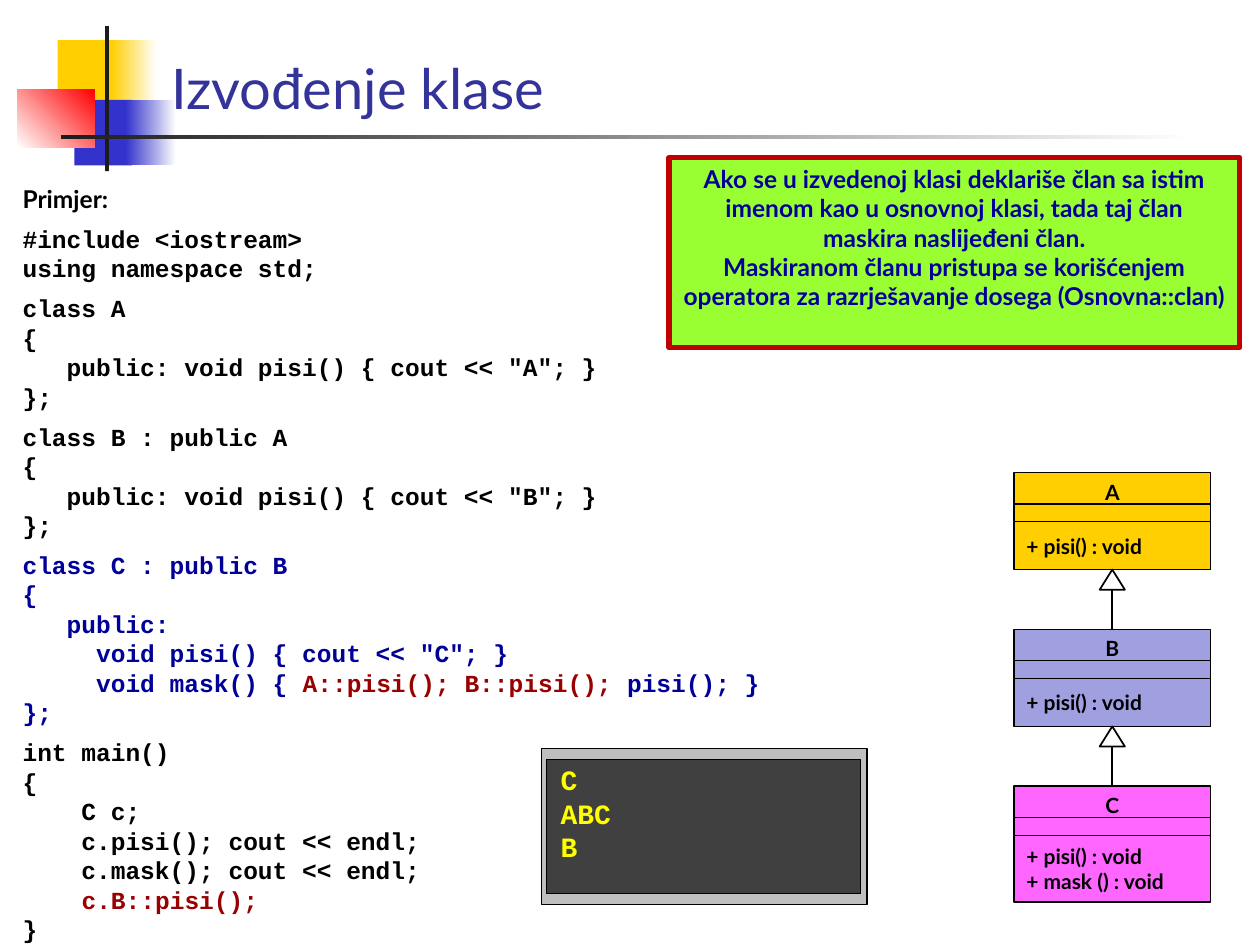
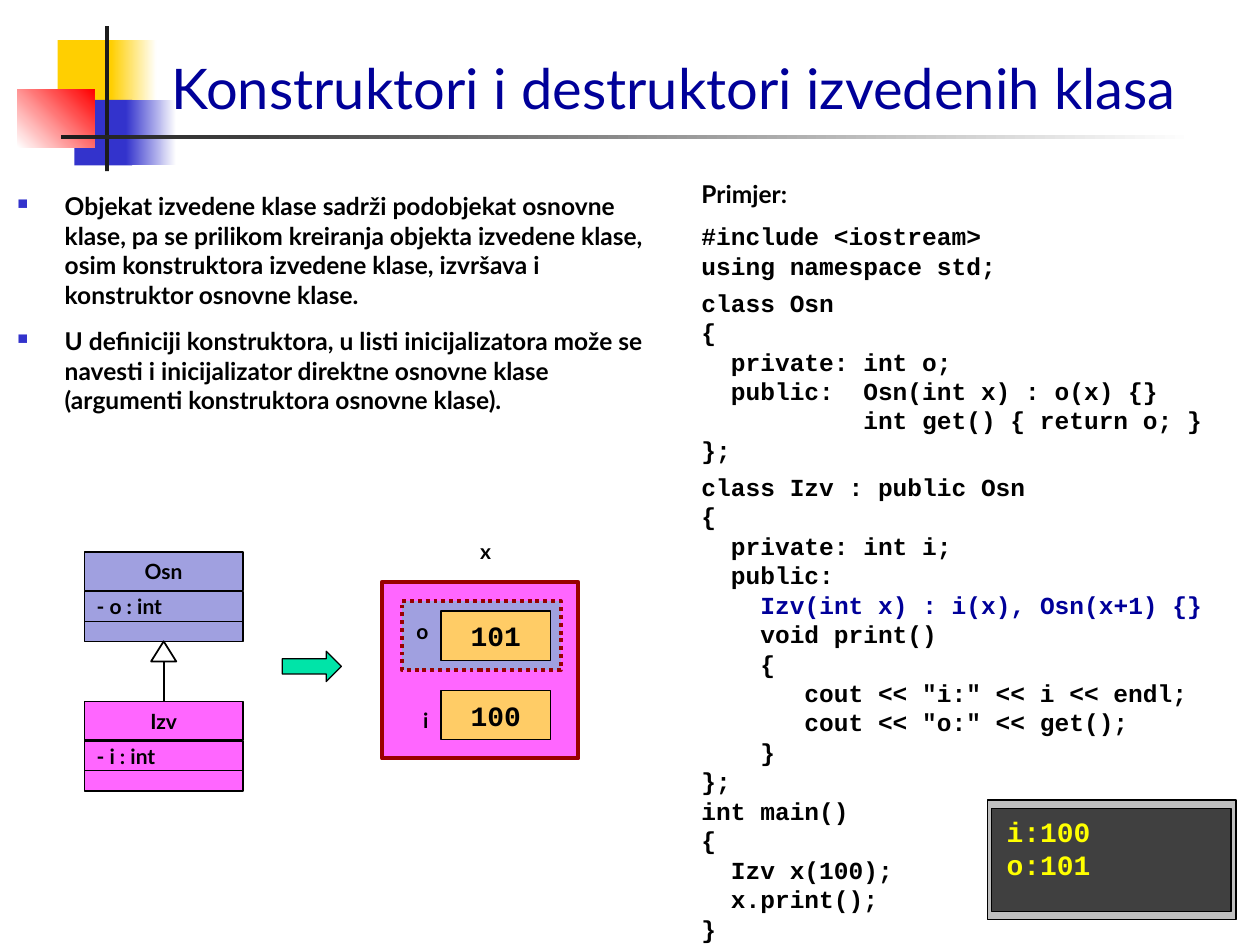
"""Build two lecture slides on class inheritance in C++."""
from dataclasses import dataclass
from typing import NamedTuple, Optional

from lxml.etree import SubElement
from pptx import Presentation
from pptx.dml.color import RGBColor
from pptx.enum.dml import MSO_LINE as Dash
from pptx.enum.shapes import MSO_CONNECTOR as Connector, MSO_SHAPE as Preset
from pptx.enum.text import MSO_ANCHOR as Anchor, PP_ALIGN as Align
from pptx.oxml.ns import qn
from pptx.shapes.autoshape import Shape
from pptx.slide import Slide
from pptx.text.text import TextFrame
from pptx.util import Pt

BODY, MONO = "Lato", "Courier New"
BLACK, WHITE, INK = "000000", "FFFFFF", "1C1C1C"
NAVY, INDIGO, BLUE = "000099", "333399", "3333CC"
GOLD, RED, MAROON, CRIMSON = "FFCF01", "FF0000", "990000", "C00000"
LILAC, PINK, PEACH, LIME = "A0A0E0", "FF66FF", "FFCC66", "99FF33"
MINT, YELLOW, SILVER, CHARCOAL = "00E4A8", "FFFF00", "BFBFBF", "404040"


class Area(NamedTuple):
    """A rectangle in points."""
    left: float
    top: float
    width: float
    height: float


class Style(NamedTuple):
    """The look of a paragraph."""
    size: float = 14
    font: str = BODY
    color: str = BLACK
    bold: bool = True
    align: Align = Align.LEFT
    pitch: Optional[float] = None


class Band(NamedTuple):
    """One piece of the ornament behind the title."""
    area: Area
    color: str
    fade_to: Optional[str] = None
    angle: float = 0


@dataclass
class Block:
    """A run of code lines with space before it and one accented phrase."""
    code: str
    before: float = 0
    color: str = BLACK
    accent: str = ""
    accent_color: str = MAROON
    font: str = MONO


@dataclass
class UmlClass:
    """A class diagram box: a name over compartments of (height, text)."""
    name: str
    fill: str
    left: float
    top: float
    width: float
    name_step: float
    compartments: tuple[tuple[float, str], ...]


ORNAMENT = (
    Band(Area(33, 23, 34.5, 37.5), GOLD),
    Band(Area(63.5, 23, 26, 37.5), GOLD, WHITE),
    Band(Area(42.5, 57, 33, 37.5), BLUE),
    Band(Area(72, 57, 28.8, 37.5), BLUE, WHITE),
    Band(Area(10, 51, 44, 33.2), WHITE, RED, 45),
    Band(Area(60, 15, 2.3, 82.8), INK),
    Band(Area(34.6, 77, 648, 2.3), INK, WHITE),
)
CODE = Style(font=MONO, pitch=16.85)
SCREEN = Style(16, MONO, YELLOW, pitch=19.3)
MEMBER = Style(12)
NAME = MEMBER._replace(align=Align.CENTER)
LABEL = MEMBER._replace(align=Align.RIGHT)
VALUE = Style(16, MONO, align=Align.CENTER)
NAME_HEIGHT, TIP_WIDTH, TIP_HEIGHT = 22, 14.4, 11.5

INCLUDES = "#include <iostream>\nusing namespace std;"
MASKING_CODE = (
    Block("Primjer:", font=BODY),
    Block(INCLUDES, 6),
    Block("""class A
{
   public: void pisi() { cout << "A"; }
};""", 6),
    Block("""class B : public A
{
   public: void pisi() { cout << "B"; }
};""", 6),
    Block("""class C : public B
{
   public:
     void pisi() { cout << "C"; }
     void mask() { A::pisi(); B::pisi(); pisi(); }
};""", 6, NAVY, "A::pisi(); B::pisi(); "),
    Block("""int main()
{
    C c;
    c.pisi(); cout << endl;
    c.mask(); cout << endl;
    c.B::pisi();
}""", 6, accent="c.B::pisi();"),
)
CONSTRUCTOR_CODE = (
    Block("Primjer:", font=BODY),
    Block(INCLUDES, 7.5),
    Block("""class Osn
{
  private: int o;
  public:  Osn(int x) : o(x) {}
           int get() { return o; }
};""", 4.2),
    Block("""class Izv : public Osn
{
  private: int i;
  public:
    Izv(int x) : i(x), Osn(x+1) {}
    void print()
    {
       cout << "i:" << i << endl;
       cout << "o:" << get();
    }
};
int main()
{
  Izv x(100);
  x.print();
}""", 4.2, accent="Izv(int x) : i(x), Osn(x+1) {}", accent_color=NAVY),
)
MASKING_RULE = (
    "Ako se u izvedenoj klasi deklariše član sa istim imenom kao u osnovnoj klasi, "
    "tada taj član maskira naslijeđeni član.\n"
    "Maskiranom članu pristupa se korišćenjem operatora za razrješavanje dosega (Osnovna::clan)"
)
CONSTRUCTOR_RULES = (
    "Objekat izvedene klase sadrži podobjekat osnovne klase, pa se prilikom kreiranja objekta "
    "izvedene klase, osim konstruktora izvedene klase, izvršava i konstruktor osnovne klase.",
    "U definiciji konstruktora, u listi inicijalizatora može se navesti i inicijalizator "
    "direktne osnovne klase (argumenti konstruktora osnovne klase).",
)


def rgb(color: str) -> RGBColor:
    """Turn a hex string into a colour."""
    return RGBColor.from_string(color)


def emu(area: Area) -> list[Pt]:
    """Convert an area to slide lengths."""
    return [Pt(length) for length in area]


def add_line(frame: TextFrame, pieces: list[tuple[str, str]], style: Style,
             before: float = 0, bullet: str = "") -> None:
    """Append one paragraph made of (text, colour) pieces."""
    line = frame.paragraphs[0]
    if line.runs:
        line = frame.add_paragraph()
        line.space_before = Pt(before)
    line.alignment = style.align
    if style.pitch:
        line.line_spacing = Pt(style.pitch)
    if bullet:
        props = line._p.get_or_add_pPr()
        props.set("marL", str(Pt(27)))
        props.set("indent", str(Pt(-27)))
        SubElement(SubElement(props, qn("a:buClr")), qn("a:srgbClr"), val=BLUE)
        SubElement(props, qn("a:buSzPct"), val="60000")
        SubElement(props, qn("a:buChar"), char=bullet)
    line.font.size, line.font.name, line.font.bold = Pt(style.size), style.font, style.bold
    if len(pieces) == 1:
        line.font.color.rgb = rgb(pieces[0][1])
    for text, color in pieces:
        run = line.add_run()
        run.text = text
        if len(pieces) > 1:
            run.font.color.rgb = rgb(color)


def write(frame: TextFrame, text: str, style: Style, anchor: Anchor = Anchor.TOP) -> None:
    """Fill a frame with equally styled lines."""
    frame.word_wrap = True
    frame.vertical_anchor = anchor
    for line in text.split("\n"):
        add_line(frame, [(line, style.color)], style)


def add_text(slide: Slide, area: Area, text: str, style: Style,
             anchor: Anchor = Anchor.TOP) -> TextFrame:
    """Place free text."""
    frame = slide.shapes.add_textbox(*emu(area)).text_frame
    write(frame, text, style, anchor)
    return frame


def add_box(slide: Slide, area: Area, fill: Optional[str], line: Optional[str] = BLACK,
            weight: float = 0.75, preset: Preset = Preset.RECTANGLE) -> Shape:
    """Place a flat outlined shape."""
    box = slide.shapes.add_shape(preset, *emu(area))
    box.shadow.inherit = False
    if fill:
        box.fill.solid()
        box.fill.fore_color.rgb = rgb(fill)
    else:
        box.fill.background()
    if line:
        box.line.color.rgb = rgb(line)
        box.line.width = Pt(weight)
    else:
        box.line.fill.background()
    return box


def add_frame(slide: Slide, title: str, color: str) -> None:
    """Draw the shared ornament and the title."""
    for band in ORNAMENT:
        box = add_box(slide, band.area, band.color, None)
        if band.fade_to:
            box.fill.gradient()
            box.fill.gradient_angle = band.angle
            for stop, shade in zip(box.fill.gradient_stops, (band.color, band.fade_to)):
                stop.color.rgb = rgb(shade)
    add_text(slide, Area(90.7, 9.4, 629.3, 62.9), title,
             Style(32, color=color, bold=False), Anchor.BOTTOM)


def add_code(slide: Slide, area: Area, blocks: tuple[Block, ...]) -> None:
    """Place a code listing."""
    frame = slide.shapes.add_textbox(*emu(area)).text_frame
    frame.word_wrap = True
    for block in blocks:
        style = CODE if block.font == MONO else Style()
        for index, line in enumerate(block.code.split("\n")):
            pieces = [(line, block.color)]
            if block.accent and block.accent in line:
                head, accent, tail = line.partition(block.accent)
                pieces = [(head, block.color), (accent, block.accent_color), (tail, block.color)]
            add_line(frame, [piece for piece in pieces if piece[0]], style,
                     0 if index else block.before)


def add_console(slide: Slide, area: Area, output: str) -> None:
    """Draw a console window with program output."""
    left, top, width, height = area
    add_box(slide, area, SILVER, weight=0)
    add_box(slide, Area(left + 0.015 * width, top + 0.07 * height, 0.965 * width, 0.86 * height),
            CHARCOAL, weight=0)
    frame = add_text(slide, Area(left + 10.8, top + 4.3, 0.8 * width, 0.7 * height),
                     output, SCREEN)
    frame.margin_left = frame.margin_right = 0


def add_class(slide: Slide, uml: UmlClass) -> Shape:
    """Draw a class and return its name compartment."""
    header = add_box(slide, Area(uml.left, uml.top, uml.width, NAME_HEIGHT), uml.fill)
    write(header.text_frame, uml.name, NAME, Anchor.MIDDLE)
    top = uml.top + uml.name_step
    for height, members in uml.compartments:
        compartment = add_box(slide, Area(uml.left, top, uml.width, height), uml.fill)
        if members:
            write(compartment.text_frame, members, MEMBER, Anchor.MIDDLE)
        top += height
    return header


def add_hierarchy(slide: Slide, classes: list[UmlClass]) -> None:
    """Draw classes from base to derived, joined by inheritance arrows."""
    headers = [add_class(slide, uml) for uml in classes]
    for base, derived, header in zip(classes, classes[1:], headers[1:]):
        center = base.left + base.width / 2
        bottom = base.top + base.name_step + sum(height for height, _ in base.compartments)
        add_box(slide, Area(center - TIP_WIDTH / 2, bottom, TIP_WIDTH, TIP_HEIGHT), None,
                weight=1, preset=Preset.ISOSCELES_TRIANGLE)
        stem = slide.shapes.add_connector(Connector.STRAIGHT, Pt(center), Pt(bottom + TIP_HEIGHT),
                                          Pt(center), Pt(derived.top))
        stem.end_connect(header, 0)
        stem.line.color.rgb = rgb(BLACK)
        stem.line.width = Pt(1)
        SubElement(stem._element.spPr, qn("a:effectLst"))


def build_masking(slide: Slide) -> None:
    """Show how a derived class masks inherited members."""
    add_frame(slide, "Izvođenje klase", INDIGO)
    rule = add_box(slide, Area(382.3, 90, 326.2, 108.7), LIME, CRIMSON, 3)
    write(rule.text_frame, MASKING_RULE, Style(color=NAVY, align=Align.CENTER))
    add_code(slide, Area(5.8, 101.5, 450, 417.6), MASKING_CODE)
    add_console(slide, Area(309.6, 427.7, 185.8, 89.3), "C\nABC\nB")
    method = "+ pisi() : void"
    contents = (("A", GOLD, 27.4, method), ("B", LILAC, 27.4, method),
                ("C", PINK, 38.2, method + "\n+ mask () : void"))
    add_hierarchy(slide, [
        UmlClass(name, fill, 579.4, 270 + 89.6 * index, 112.4, 18, ((10.1, ""), (height, methods)))
        for index, (name, fill, height, methods) in enumerate(contents)])


def build_constructors(slide: Slide) -> None:
    """Show how base and derived constructors build one object."""
    add_frame(slide, "Konstruktori i destruktori izvedenih klasa", NAVY)
    rules = slide.shapes.add_textbox(*emu(Area(2.9, 105.8, 386, 158.4))).text_frame
    rules.word_wrap = True
    for rule in CONSTRUCTOR_RULES:
        add_line(rules, [(rule, BLACK)], Style(), 9.8, "■")
    add_code(slide, Area(393.8, 98.6, 326.2, 438.5), CONSTRUCTOR_CODE)
    add_console(slide, Area(564.5, 457.2, 141.8, 68.4), "i:100\no:101")
    add_hierarchy(slide, [
        UmlClass(name, fill, 48.2, top, 90.7, 22.5, ((17, field), (11.5, "")))
        for name, fill, top, field in (("Osn", LILAC, 315.5, "- o : int"),
                                       ("Izv", PINK, 401, "- i : int"))])
    add_box(slide, Area(161.3, 372.2, 33.8, 17.3), MINT, preset=Preset.RIGHT_ARROW)
    add_text(slide, Area(263.5, 303.8, 28, 22.3), "x", NAME, Anchor.MIDDLE)
    add_box(slide, Area(218.2, 332.6, 112.3, 100.8), PINK, MAROON, 2.25)
    inherited = add_box(slide, Area(229.7, 343.4, 90.7, 39.6), LILAC, MAROON, 2.25)
    inherited.line.dash_style = Dash.ROUND_DOT
    for field, value, top, label_top in (("i", "100", 394.6, 400.3), ("o", "101", 349.2, 349.2)):
        cell = add_box(slide, Area(252, top, 62.6, 28.1), PEACH)
        write(cell.text_frame, value, VALUE, Anchor.MIDDLE)
        add_text(slide, Area(223.9, label_top, 28, 22.3), field, LABEL, Anchor.MIDDLE)


def main() -> None:
    """Build and save the presentation."""
    deck = Presentation()
    deck.slide_width, deck.slide_height = Pt(720), Pt(540)
    for build in (build_masking, build_constructors):
        build(deck.slides.add_slide(deck.slide_layouts[6]))
    deck.save("out.pptx")


if __name__ == "__main__":
    main()
